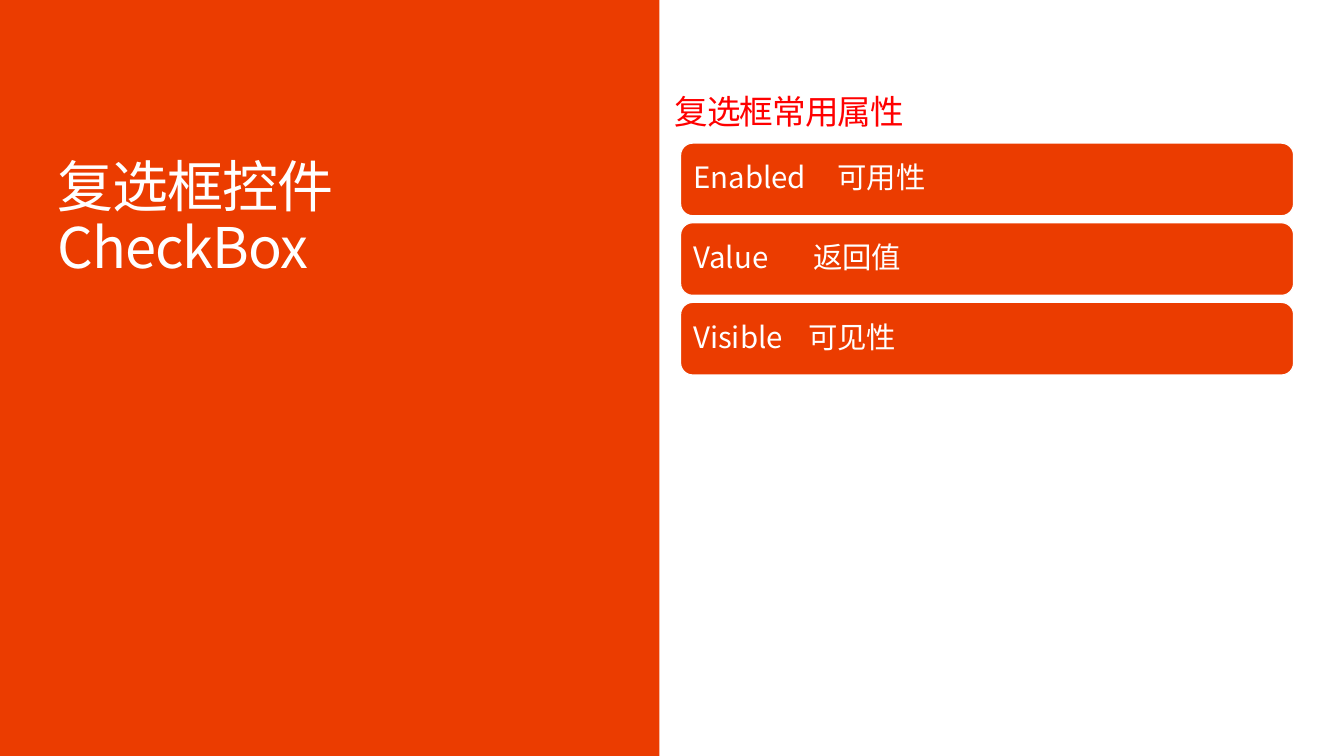
from dataclasses import dataclass

from lxml import etree
from pptx import Presentation
from pptx.dml.color import RGBColor
from pptx.enum.shapes import MSO_SHAPE
from pptx.enum.text import MSO_ANCHOR, PP_ALIGN
from pptx.oxml.ns import qn
from pptx.util import Inches, Pt

RECTANGLE = MSO_SHAPE.RECTANGLE
ROUNDED = MSO_SHAPE.ROUNDED_RECTANGLE
TOP, MIDDLE = MSO_ANCHOR.TOP, MSO_ANCHOR.MIDDLE
LEFT = PP_ALIGN.LEFT


@dataclass(frozen=True)
class Theme:
    """Colours, font and type sizes of the slide."""
    accent: str = "EB3C00"
    light: str = "FFFFFF"
    heading: str = "FF0000"
    font: str = "Noto Sans CJK SC"
    title_size: int = 40
    heading_size: int = 24
    row_size: int = 21
    tight: int = -70


class SlideBuilder:
    """Draws styled elements on one slide."""

    def __init__(self, slide, theme):
        """Keep the slide and its theme."""
        self.slide = slide
        self.theme = theme

    def fill_text(self, frame, lines, size, color, spacing=0, line_spacing=1.0,
                  inset=0, anchor=TOP, wrap=True, tab=None):
        """Fill a text frame, one paragraph per line."""
        frame.word_wrap = wrap
        frame.vertical_anchor = anchor
        frame.margin_left = frame.margin_right = Inches(inset)
        frame.margin_top = frame.margin_bottom = Inches(inset)
        for index, line in enumerate(lines):
            paragraph = frame.add_paragraph() if index else frame.paragraphs[0]
            paragraph.alignment = LEFT
            paragraph.line_spacing = line_spacing
            if tab is not None:
                stops = etree.SubElement(paragraph._p.get_or_add_pPr(), qn("a:tabLst"))
                etree.SubElement(stops, qn("a:tab"), pos=str(Inches(tab)), algn="l")
            run = paragraph.add_run()
            run.text = line
            run.font.size = Pt(size)
            run.font.name = self.theme.font
            run.font.color.rgb = RGBColor.from_string(color)
            properties = run._r.get_or_add_rPr()
            if spacing:
                properties.set("spc", str(spacing))
            etree.SubElement(properties, qn("a:ea"), typeface=self.theme.font)

    def block(self, kind, left, top, width, height, outline=None):
        """Add a shape filled with the accent colour."""
        shape = self.slide.shapes.add_shape(
            kind, Inches(left), Inches(top), Inches(width), Inches(height))
        shape.shadow.inherit = False
        shape.fill.solid()
        shape.fill.fore_color.rgb = RGBColor.from_string(self.theme.accent)
        if outline:
            shape.line.color.rgb = RGBColor.from_string(outline)
            shape.line.width = Pt(0.85)
        else:
            shape.line.fill.background()
        return shape

    def label(self, left, top, width, height, lines, size, color, **style):
        """Add a text box."""
        box = self.slide.shapes.add_textbox(
            Inches(left), Inches(top), Inches(width), Inches(height))
        self.fill_text(box.text_frame, lines, size, color, **style)

    def property_row(self, top, name, meaning, tab):
        """Add a rounded bar with a property name and its meaning."""
        bar = self.block(ROUNDED, 6.75, top, 6.08, 0.72, self.theme.light)
        self.fill_text(bar.text_frame, [f"{name}\t{meaning}"], self.theme.row_size,
                       self.theme.light, line_spacing=0.9, inset=0.09,
                       anchor=MIDDLE, tab=tab)


def main():
    """Build the slide and save it."""
    deck = Presentation()
    deck.slide_width, deck.slide_height = Inches(13.33), Inches(7.5)
    theme = Theme()
    builder = SlideBuilder(deck.slides.add_slide(deck.slide_layouts[6]), theme)

    builder.block(RECTANGLE, 0, 0, 6.54, 7.5)
    builder.label(0.57, 1.58, 5.72, 1.82, ["复选框控件", "CheckBox"],
                  theme.title_size, theme.light, spacing=theme.tight,
                  line_spacing=0.9)

    properties = [("Enabled", "可用性", 1.43), ("Value", "返回值", 1.19),
                  ("Visible", "可见性", 1.14)]
    for index, (name, meaning, tab) in enumerate(properties):
        builder.property_row(1.42 + index * 0.79, name, meaning, tab)

    builder.label(6.69, 0.9, 2.29, 0.4, ["复选框常用属性"], theme.heading_size,
                  theme.heading, spacing=theme.tight, wrap=False)
    deck.save("out.pptx")


main()
